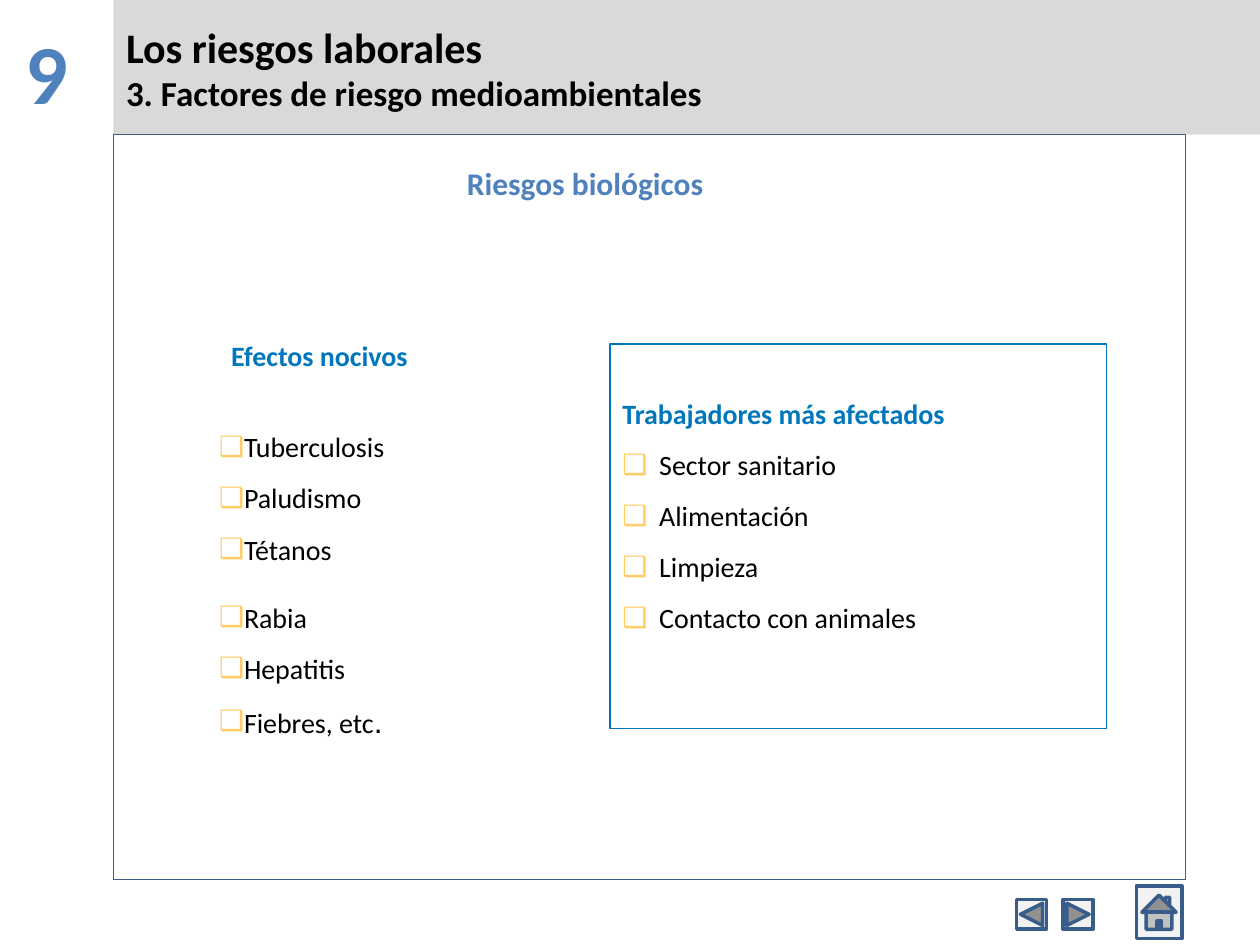
from lxml.etree import SubElement
from pptx import Presentation
from pptx.dml.color import RGBColor
from pptx.enum.shapes import MSO_SHAPE
from pptx.enum.text import MSO_ANCHOR, MSO_AUTO_SIZE, PP_ALIGN
from pptx.oxml.ns import qn
from pptx.util import Pt

COLORS = {
    "black": "000000",
    "blue": "4F81BD",
    "heading": "0077BD",
    "outline": "385D8A",
    "banner": "D9D9D9",
    "button": "F2F2F2",
    "bullet": "FFCC66",
}
BULLET = "❑"
UNIT_NUMBER = "9"
TITLE_LINES = [("Los riesgos laborales", 24), ("3. Factores de riesgo medioambientales", 20)]
SUBTITLE = "Riesgos biológicos"
EFFECTS_HEADING = "Efectos nocivos"
EFFECT_LISTS = [
    (["Tuberculosis", "Paludismo", "Tétanos"], (123.8, 236.2, 130.3, 96.5)),
    (["Rabia", "Hepatitis", "Fiebres, etc"], (123.8, 337.7, 123.8, 90.7)),
]
WORKERS_HEADING = "Trabajadores más afectados"
WORKERS = ["Sector sanitario", "Alimentación", "Limpieza", "Contacto con animales"]
BUTTONS = [
    (MSO_SHAPE.ACTION_BUTTON_BACK_OR_PREVIOUS, (581, 514, 17, 17)),
    (MSO_SHAPE.ACTION_BUTTON_FORWARD_OR_NEXT, (607.5, 514, 17, 17)),
    (MSO_SHAPE.ACTION_BUTTON_HOME, (649.3, 506.2, 26, 30.2)),
]


def color(name):
    return RGBColor.from_string(COLORS[name])


def place(shape, box):
    shape.left, shape.top, shape.width, shape.height = (Pt(length) for length in box)


def set_frame(shape, insets, anchor=MSO_ANCHOR.MIDDLE):
    frame = shape.text_frame
    frame.word_wrap = True
    frame.auto_size = MSO_AUTO_SIZE.NONE
    frame.vertical_anchor = anchor
    frame.margin_left, frame.margin_top, frame.margin_right, frame.margin_bottom = (
        Pt(inset) for inset in insets
    )
    return frame


def style_run(run, size, color_name="black", bold=False, font="Calibri"):
    run.font.name = font
    run.font.size = Pt(size)
    run.font.bold = bold
    run.font.color.rgb = color(color_name)


def set_bullet(paragraph, bulleted, indent=0):
    properties = paragraph._p.get_or_add_pPr()
    properties.set("marL", str(Pt(indent)))
    properties.set("indent", str(-Pt(indent)))
    if bulleted:
        bullet_color = SubElement(properties, qn("a:buClr"))
        SubElement(bullet_color, qn("a:srgbClr"), val=COLORS["bullet"])
        SubElement(properties, qn("a:buChar"), char=BULLET)
    else:
        SubElement(properties, qn("a:buNone"))


def fill_list(frame, items, heading=None, indent=0, alignment=PP_ALIGN.LEFT):
    lines = ([heading] if heading else []) + items
    frame.text = "\n".join(lines)
    for index, paragraph in enumerate(frame.paragraphs):
        is_heading = bool(heading) and index == 0
        set_bullet(paragraph, not is_heading, indent)
        paragraph.alignment = alignment
        paragraph.line_spacing = 1.0
        paragraph.space_before = Pt(5 if index else 0)
        paragraph.space_after = Pt(5 if index < len(lines) - 1 else 0)
        style_run(paragraph.runs[0], 16, "heading" if is_heading else "black", is_heading)


def add_outlined(slide, kind, box, fill=None, width=0.75):
    shape = slide.shapes.add_shape(kind, *(Pt(length) for length in box))
    shape.shadow.inherit = False
    if fill:
        shape.fill.solid()
        shape.fill.fore_color.rgb = color(fill)
    else:
        shape.fill.background()
    shape.line.color.rgb = color("outline")
    shape.line.width = Pt(width)


def add_label(slide, text, box, size, alignment):
    label = slide.shapes.add_textbox(*(Pt(length) for length in box))
    frame = set_frame(label, (7.2, 3.6, 7.2, 3.6), MSO_ANCHOR.TOP)
    frame.text = text
    frame.paragraphs[0].alignment = alignment
    style_run(frame.paragraphs[0].runs[0], size, "blue", True)


def main():
    presentation = Presentation()
    presentation.slide_width, presentation.slide_height = Pt(720), Pt(540)
    slide = presentation.slides.add_slide(presentation.slide_layouts[4])
    title, effects, first_list, second_list, workers = slide.placeholders

    place(title, (64.8, 0, 655.2, 77))
    title.fill.solid()
    title.fill.fore_color.rgb = color("banner")
    frame = set_frame(title, (7.2, 3.6, 7.2, 3.6))
    frame.text = "\n".join(text for text, size in TITLE_LINES)
    for paragraph, (text, size) in zip(frame.paragraphs, TITLE_LINES):
        paragraph.alignment = PP_ALIGN.LEFT
        paragraph.space_before = Pt(0)
        style_run(paragraph.runs[0], size, bold=True)

    place(effects, (84.2, 157.7, 196.6, 90.7))
    frame = set_frame(effects, (7.2, 6.5, 7.2, 6.5))
    fill_list(frame, [], EFFECTS_HEADING, alignment=PP_ALIGN.CENTER)

    for placeholder, (items, box) in zip((first_list, second_list), EFFECT_LISTS):
        place(placeholder, box)
        fill_list(set_frame(placeholder, (1.4, 0.7, 1.4, 0.7)), items)
    full_stop = second_list.text_frame.paragraphs[-1].add_run()
    full_stop.text = "."
    style_run(full_stop, 18, font="Arial")

    place(workers, (348.5, 196.6, 283.7, 219.6))
    workers.line.color.rgb = color("heading")
    workers.line.width = Pt(0.75)
    fill_list(set_frame(workers, (7.2, 6.5, 7.2, 30)), WORKERS, WORKERS_HEADING, 21)

    add_outlined(slide, MSO_SHAPE.RECTANGLE, (64.8, 77, 612.7, 425.5))
    add_label(slide, UNIT_NUMBER, (0, 8, 54, 66), 48, PP_ALIGN.CENTER)
    add_label(slide, SUBTITLE, (259.7, 90, 162.3, 29), 18, PP_ALIGN.LEFT)
    for kind, box in BUTTONS:
        add_outlined(slide, kind, box, "button", 2)

    presentation.save("out.pptx")


if __name__ == "__main__":
    main()
